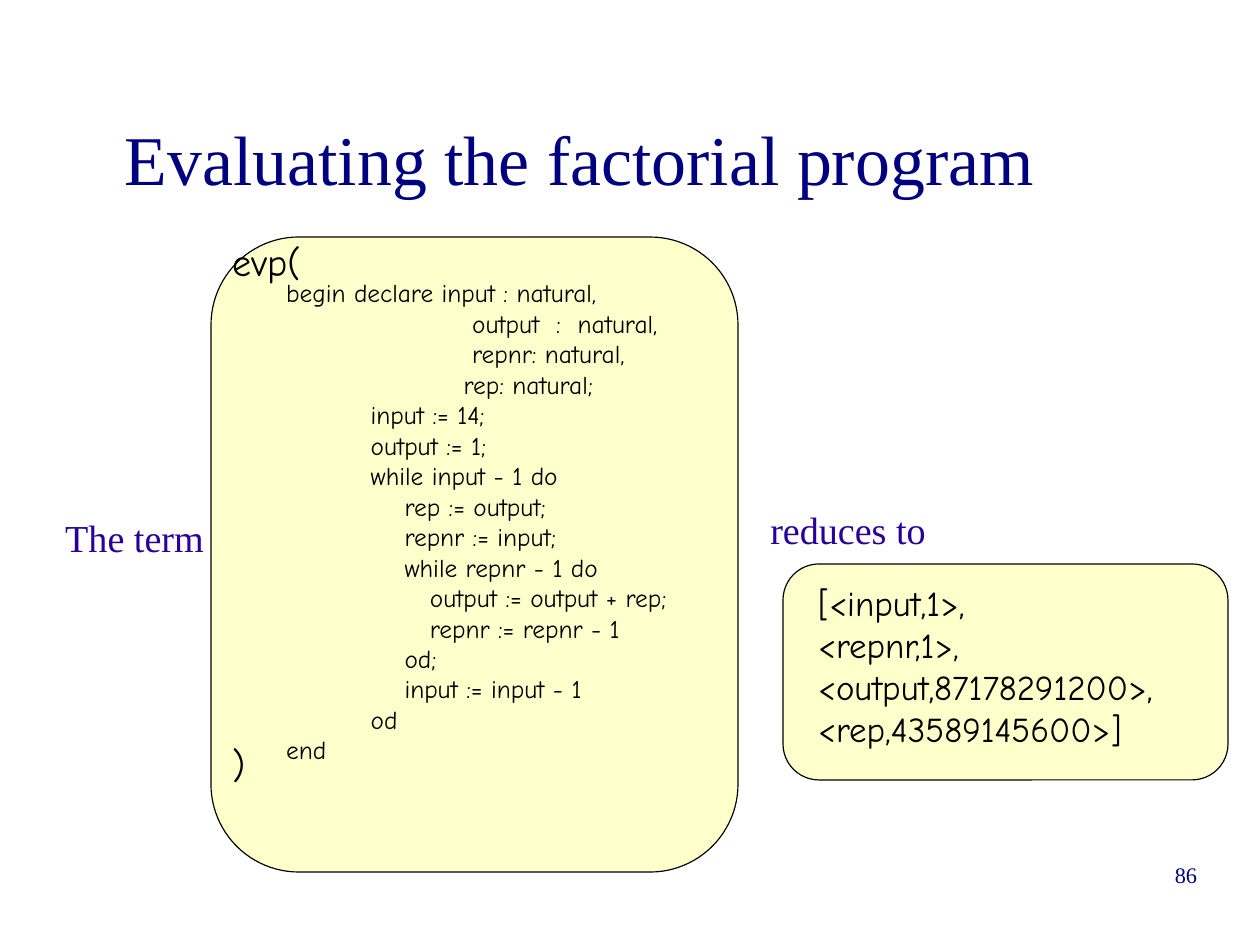
"""Builds the slide that evaluates the factorial program."""
from pptx import Presentation, util as u
from pptx.dml.color import RGBColor
from pptx.enum import shapes, text

PX = 8000
SERIF, COMIC = "Times New Roman", "Comic Neue"
BLACK, NAVY, VIOLET, CREAM = "000000", "000080", "280099", "FFFFCC"

PROGRAM = """begin declare input : natural,
                      output  :  natural,
                      repnr: natural,
                     rep: natural;
          input := 14;
          output := 1;
          while input - 1 do
              rep := output;
              repnr := input;
              while repnr - 1 do
                 output := output + rep;
                 repnr := repnr - 1
              od;
              input := input - 1
          od
end"""

RESULT = """[<input,1>,
<repnr,1>,
<output,87178291200>,
<rep,43589145600>]"""


def color(value):
    """Turn a hex string into a colour."""
    return RGBColor.from_string(value)


def place(box, bounds):
    """Move and size a shape, in px."""
    box.left, box.top, box.width, box.height = (n * PX for n in bounds)


def write(box, words, font, size, ink, align=text.PP_ALIGN.LEFT):
    """Fill a box with one paragraph per line of words."""
    box.text_frame.text = words
    for para in box.text_frame.paragraphs:
        para.alignment = align
        para.font.name = font
        para.font.size = u.Pt(size)
        para.font.color.rgb = color(ink)


def clear_margins(frame):
    """Remove the inner margins of a text frame."""
    frame.margin_left = frame.margin_top = 0
    frame.margin_right = frame.margin_bottom = 0


def add_panel(page, bounds):
    """Add a cream rounded panel with a hairline."""
    panel = page.shapes.add_shape(
        shapes.MSO_SHAPE.ROUNDED_RECTANGLE, *(n * PX for n in bounds))
    panel.shadow.inherit = False
    panel.fill.solid()
    panel.fill.fore_color.rgb = color(CREAM)
    panel.line.color.rgb = color(BLACK)
    panel.line.width = 0


def add_text(page, bounds, words, font, size, ink, wrap=True):
    """Add a text box and return it."""
    box = page.shapes.add_textbox(*(n * PX for n in bounds))
    box.text_frame.word_wrap = wrap
    write(box, words, font, size, ink)
    return box


def add_title(page, bounds, words):
    """Fill the title placeholder."""
    title = page.shapes.title
    place(title, bounds)
    clear_margins(title.text_frame)
    title.text_frame.vertical_anchor = text.MSO_ANCHOR.MIDDLE
    write(title, words, SERIF, 44, NAVY, text.PP_ALIGN.CENTER)


def add_page_number(page, bounds, number):
    """Add the right-aligned page number."""
    box = add_text(page, bounds, number, SERIF, 14, NAVY)
    clear_margins(box.text_frame)
    box.text_frame.paragraphs[0].alignment = text.PP_ALIGN.RIGHT


def main():
    """Build and save the deck."""
    deck = Presentation()
    deck.slide_width, deck.slide_height = 1260 * PX, 945 * PX
    page = deck.slides.add_slide(deck.slide_layouts[5])

    add_panel(page, (211, 237, 527, 635))
    add_title(page, (42, 79, 1076, 158), "Evaluating the factorial program")
    add_text(page, (275, 272, 442, 586), PROGRAM, COMIC, 16, BLACK)
    for top, words in ((233, "evp("), (735, ")")):
        add_text(page, (221, top, 322, 57), words, COMIC, 24, BLACK)

    add_text(page, (54, 509, 166, 57), "The term", SERIF, 24, VIOLET, False)
    add_text(page, (759, 501, 186, 57), "reduces to", SERIF, 24, VIOLET, False)
    add_panel(page, (783, 564, 445, 216))
    add_text(page, (807, 576, 427, 207), RESULT, COMIC, 22, BLACK)
    add_page_number(page, (903, 861, 294, 65), "86")
    deck.save("out.pptx")


if __name__ == "__main__":
    main()
